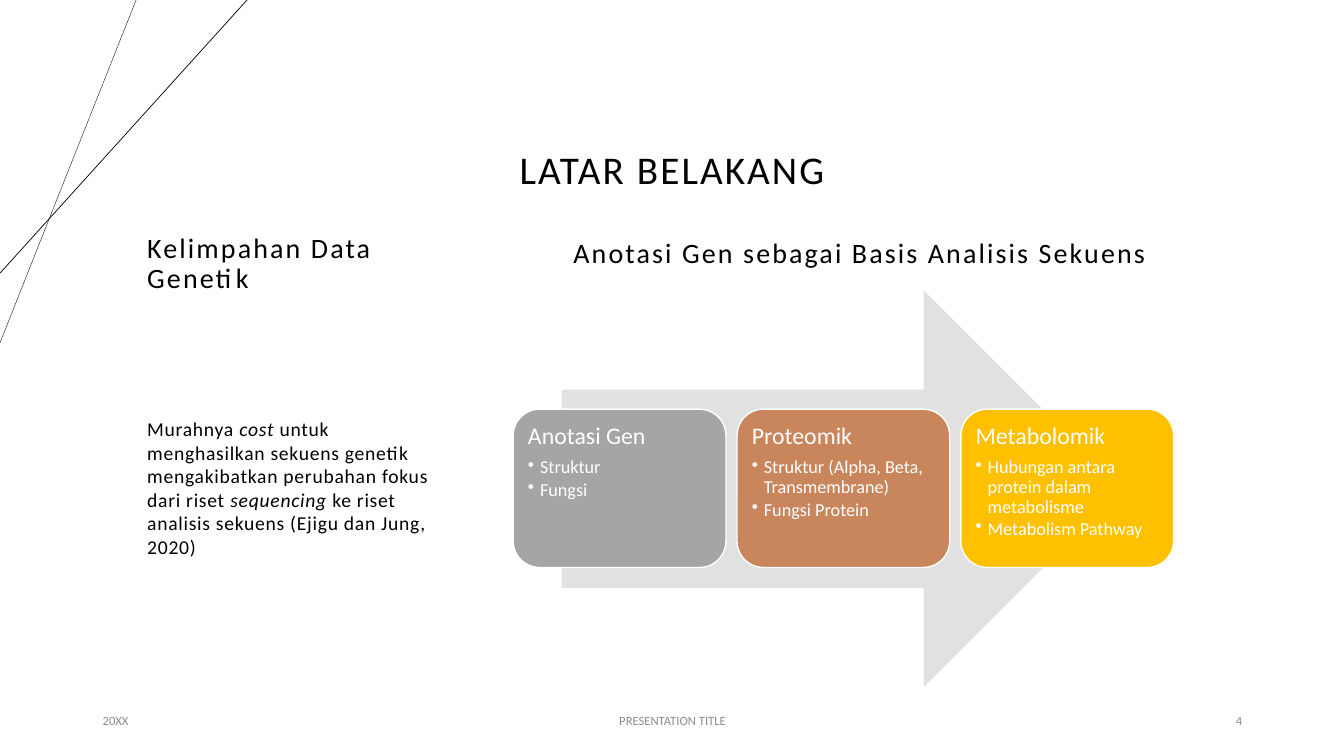
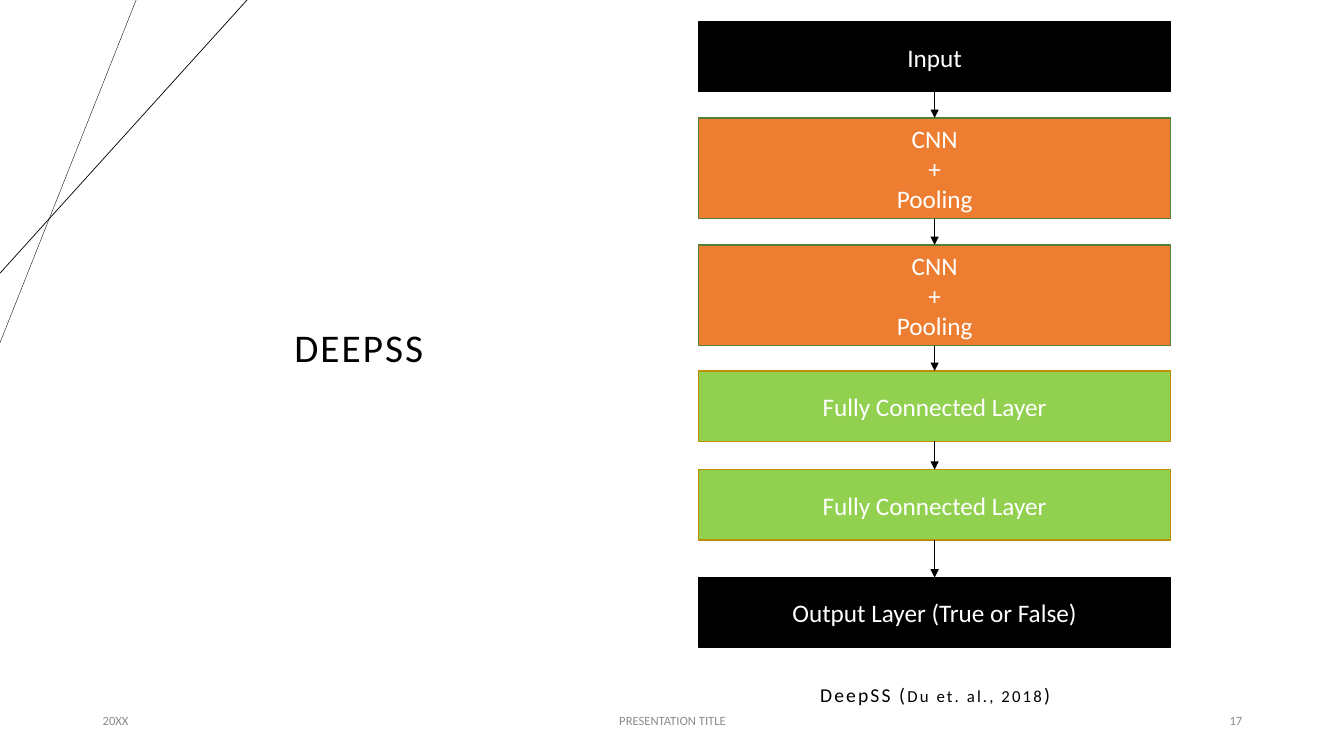
from dataclasses import dataclass
from typing import NamedTuple, Optional, Sequence, Union

from lxml.etree import SubElement
from pptx import Presentation
from pptx.dml.color import RGBColor
from pptx.enum.shapes import MSO_CONNECTOR as Conn, MSO_SHAPE as Geo
from pptx.enum.text import MSO_ANCHOR as Anchor, MSO_AUTO_SIZE as AutoSize, PP_ALIGN as Align
from pptx.oxml.ns import qn
from pptx.util import Pt

EMU_PER_PX = 9144
COMPARISON, TITLE_ONLY = 4, 5


@dataclass(frozen=True)
class Theme:
    font: str = "Calibri"
    black: str = "000000"
    white: str = "FFFFFF"
    muted: str = "8C8C8C"
    arrow: str = "E1E1E1"
    gray: str = "A5A5A5"
    copper: str = "C9855C"
    gold: str = "FFC000"
    orange: str = "ED7D31"
    dark_green: str = "538035"
    green: str = "92D050"
    dark_gold: str = "BD8E00"
    title: int = 28
    heading: int = 20
    layer: int = 18
    card_head: int = 17
    body: int = 14
    card_item: int = 13
    citation: int = 12
    footer: int = 9
    wide: float = 1.5
    loose: float = 0.5


T = Theme()


class Box(NamedTuple):
    left: int
    top: int
    width: int
    height: int


class Run(NamedTuple):
    text: str
    italic: bool = False
    size: Optional[int] = None


class Card(NamedTuple):
    head: str
    items: Sequence[str]
    fill: str


class Layer(NamedTuple):
    text: str
    top: int
    height: int
    fill: str
    line: str


DECOR = ((135, 340, 0.25), (245, 271, 0.5))
CARDS = (
    Card("Anotasi Gen", ("Struktur", "Fungsi"), T.gray),
    Card("Proteomik", ("Struktur (Alpha, Beta, Transmembrane)", "Fungsi Protein"), T.copper),
    Card("Metabolomik", ("Hubungan antara protein dalam metabolisme", "Metabolism Pathway"), T.gold),
)
CONV = "CNN\n+\nPooling"
DENSE = "Fully Connected Layer"
LAYERS = (
    Layer("Input", 22, 69, T.black, T.black),
    Layer(CONV, 117, 100, T.orange, T.dark_green),
    Layer(CONV, 243, 100, T.orange, T.dark_green),
    Layer(DENSE, 368, 70, T.green, T.dark_gold),
    Layer(DENSE, 466, 70, T.green, T.dark_gold),
    Layer("Output Layer (True or False)", 573, 69, T.black, T.black),
)


def px(n: int) -> int:
    return n * EMU_PER_PX


def rgb(color: str) -> RGBColor:
    return RGBColor.from_string(color)


def place(sp, box: Box) -> None:
    sp.left, sp.top, sp.width, sp.height = map(px, box)


def add_text(tf, text: Union[str, Sequence[Run]], *, size: int, color: str = T.black,
             align=Align.LEFT, anchor=Anchor.MIDDLE, spacing: float = 0,
             leading: float = 1.0, before: int = 0, after: float = 0,
             bullet: bool = False) -> None:
    tf.word_wrap = True
    tf.auto_size = AutoSize.NONE
    tf.vertical_anchor = anchor
    p = tf.paragraphs[0]
    if p.runs:
        p = tf.add_paragraph()
    p.alignment, p.line_spacing = align, leading
    p.space_before, p.space_after = Pt(before), Pt(after)
    pPr = p._p.get_or_add_pPr()
    indent = px(12) if bullet else 0
    pPr.set("marL", str(indent))
    pPr.set("indent", str(-indent))
    if bullet:
        SubElement(pPr, qn("a:buChar")).set("char", "•")
    else:
        SubElement(pPr, qn("a:buNone"))
    for run in [Run(text)] if isinstance(text, str) else text:
        for i, line in enumerate(run.text.split("\n")):
            if i:
                p.add_line_break()
            r = p.add_run()
            r.text = line
            f = r.font
            f.name, f.size, f.bold, f.italic = T.font, Pt(run.size or size), False, run.italic
            f.color.rgb = rgb(color)
            if spacing:
                r._r.get_or_add_rPr().set("spc", str(int(spacing * 100)))


def add_box(slide, geo, box: Box, fill: str, line: Optional[str] = None):
    sp = slide.shapes.add_shape(geo, *map(px, box))
    sp.shadow.inherit = False
    sp.fill.solid()
    sp.fill.fore_color.rgb = rgb(fill)
    if line:
        sp.line.color.rgb = rgb(line)
        sp.line.width = Pt(1)
    else:
        sp.line.fill.background()
    return sp


def add_line(slide, x1: int, y1: int, x2: int, y2: int, width: float, arrow: bool = False) -> None:
    cx = slide.shapes.add_connector(Conn.STRAIGHT, px(x1), px(y1), px(x2), px(y2))
    cx.line.color.rgb = rgb(T.black)
    cx.line.width = Pt(width)
    if arrow:
        SubElement(cx.line._get_or_add_ln(), qn("a:tailEnd")).set("type", "triangle")
    SubElement(cx._element.spPr, qn("a:effectLst"))


def add_label(slide, box: Box, text: Union[str, Sequence[Run]], **fmt) -> None:
    add_text(slide.shapes.add_textbox(*map(px, box)).text_frame, text, **fmt)


def fill_placeholder(sp, box: Box, text: Union[str, Sequence[Run]], **fmt) -> None:
    place(sp, box)
    add_text(sp.text_frame, text, **fmt)


def add_slide(prs, layout: int, title: str, title_box: Box, number: str):
    s = prs.slides.add_slide(prs.slide_layouts[layout])
    for x, y, width in DECOR:
        add_line(s, x, 0, 0, y, width)
    fill_placeholder(s.shapes.title, title_box, title, size=T.title, align=Align.CENTER,
                     spacing=T.wide, leading=0.9)
    for left, width, text, align in ((92, 300, "20XX", Align.LEFT),
                                     (442, 450, "PRESENTATION TITLE", Align.CENTER),
                                     (942, 300, number, Align.RIGHT)):
        add_label(s, Box(left, 695, width, 40), text, size=T.footer, color=T.muted, align=align)
    return s


def add_card(slide, box: Box, card: Card) -> None:
    tf = add_box(slide, Geo.ROUNDED_RECTANGLE, box, card.fill, T.white).text_frame
    tf.margin_left = tf.margin_right = tf.margin_top = tf.margin_bottom = px(7)
    add_text(tf, card.head, size=T.card_head, color=T.white, anchor=Anchor.TOP,
             leading=0.9, after=6)
    for item in card.items:
        add_text(tf, item, size=T.card_item, color=T.white, anchor=Anchor.TOP,
                 leading=0.9, after=2, bullet=True)


def build_background(prs) -> None:
    s = add_slide(prs, COMPARISON, "LATAR BELAKANG", Box(206, 98, 921, 145), "4")
    ph = {sp.placeholder_format.idx: sp for sp in s.placeholders}
    heading = dict(size=T.heading, spacing=T.wide, leading=0.9, before=10)
    fill_placeholder(ph[1], Box(136, 207, 315, 90), "Kelimpahan Data Genetik",
                     anchor=Anchor.BOTTOM, **heading)
    fill_placeholder(ph[2], Box(136, 375, 315, 218), (
        Run("Murahnya "), Run("cost ", True),
        Run("untuk menghasilkan sekuens genetik mengakibatkan perubahan fokus dari riset "),
        Run("sequencing ", True),
        Run("ke riset analisis sekuens (Ejigu dan Jung, 2020)"),
    ), size=T.body, spacing=T.loose, before=10)
    fill_placeholder(ph[3], Box(508, 207, 689, 90), "Anotasi Gen sebagai Basis Analisis Sekuens",
                     align=Align.CENTER, **heading)
    ph[4]._element.getparent().remove(ph[4]._element)
    add_box(s, Geo.RIGHT_ARROW, Box(557, 288, 556, 394), T.arrow)
    for i, card in enumerate(CARDS):
        add_card(s, Box(509 + i * 222, 406, 211, 157), card)


def build_network(prs) -> None:
    s = add_slide(prs, TITLE_ONLY, "DEEPSS", Box(206, 275, 300, 145), "17")
    left, width = 693, 468
    for layer in LAYERS:
        sp = add_box(s, Geo.RECTANGLE, Box(left, layer.top, width, layer.height),
                     layer.fill, layer.line)
        add_text(sp.text_frame, layer.text, size=T.layer, color=T.white, align=Align.CENTER)
    center = left + width // 2
    for upper, lower in zip(LAYERS, LAYERS[1:]):
        add_line(s, center, upper.top + upper.height, center, lower.top, 0.5, arrow=True)
    add_label(s, Box(710, 663, 435, 43),
              (Run("DeepSS ("), Run("Du et. al., 2018", size=T.citation), Run(")")),
              size=T.body, align=Align.CENTER, anchor=Anchor.BOTTOM, spacing=T.wide,
              leading=0.9, before=10)


def main() -> None:
    prs = Presentation()
    prs.slide_width, prs.slide_height = px(1333), px(750)
    build_background(prs)
    build_network(prs)
    prs.save("out.pptx")


if __name__ == "__main__":
    main()
